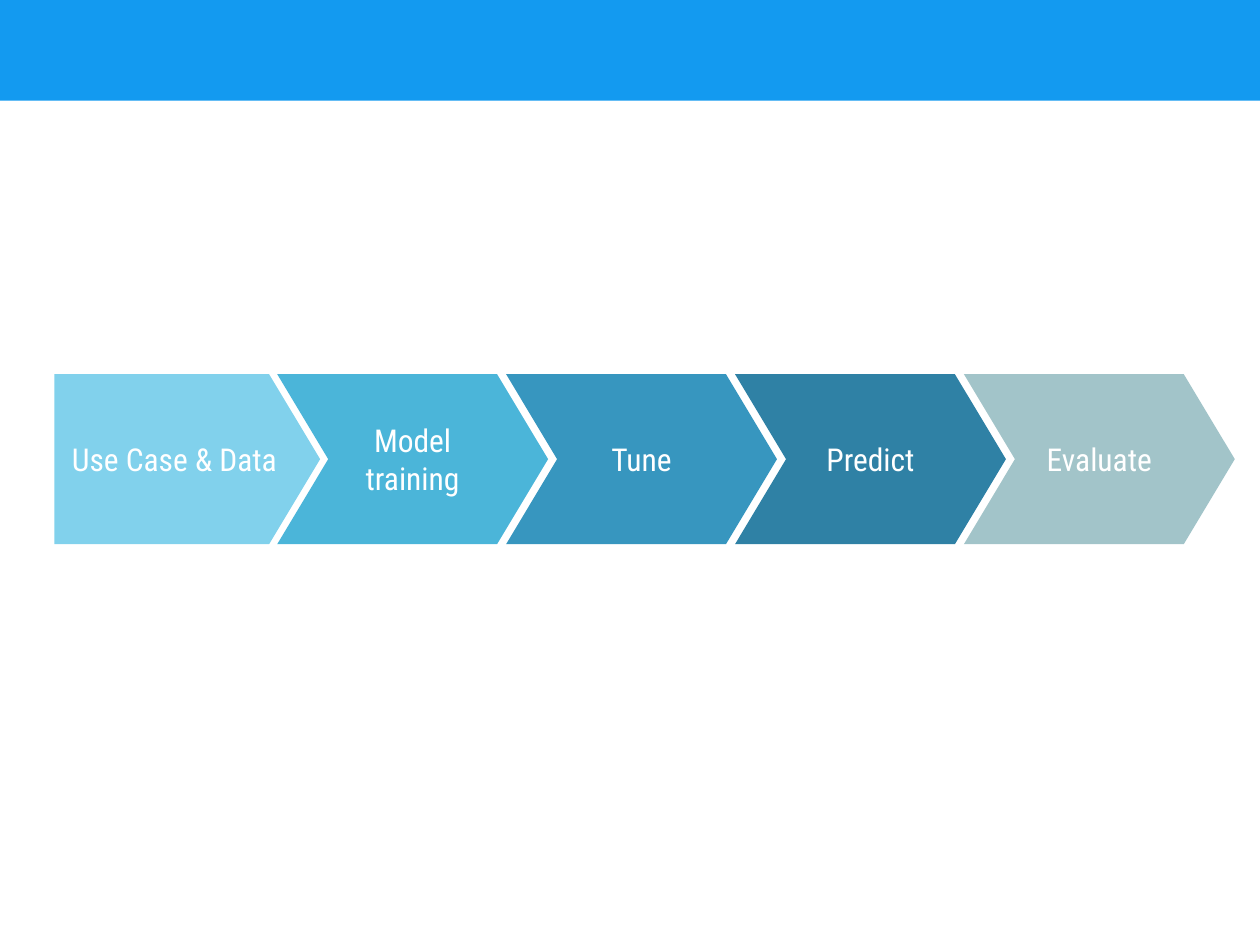
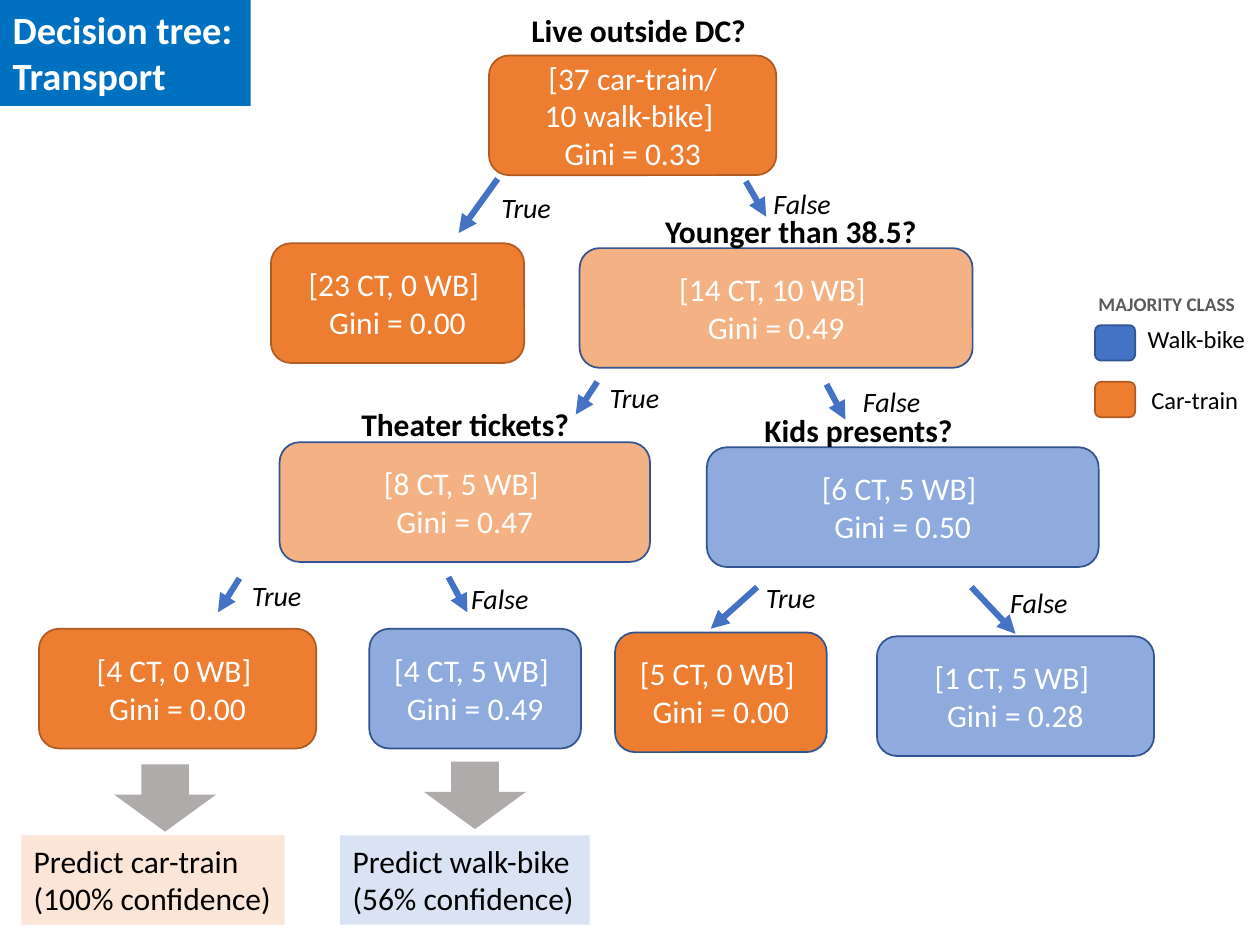
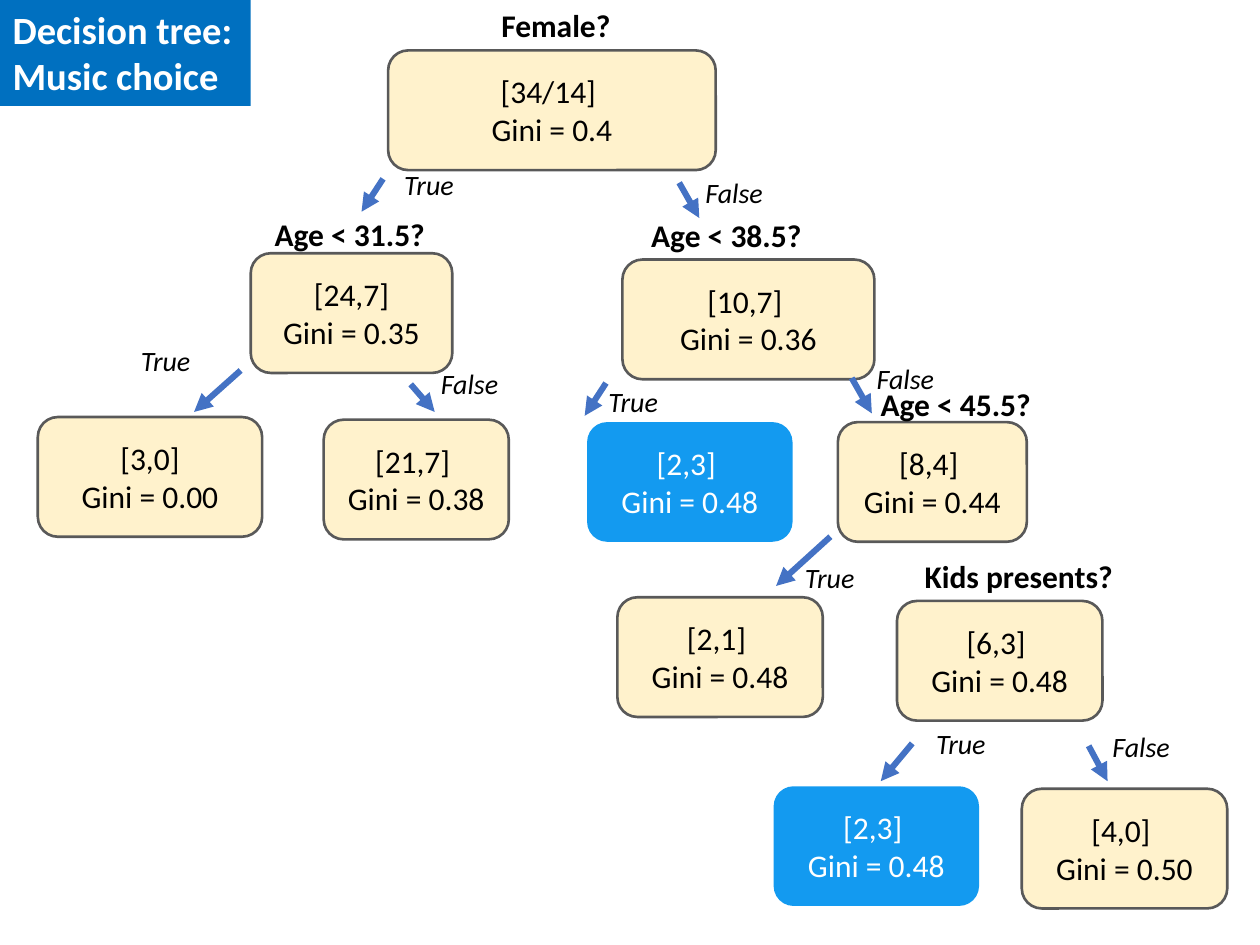
import pptx
import pptx.dml.color
import pptx.enum.shapes
import pptx.enum.text
import pptx.oxml.ns
import pptx.util
from lxml import etree

Pt = pptx.util.Pt
SHAPE = pptx.enum.shapes.MSO_SHAPE
ALIGN = pptx.enum.text.PP_ALIGN
ANCHOR = pptx.enum.text.MSO_ANCHOR

COLORS = {
    "band": "139AF0", "title": "0070C0", "white": "FFFFFF", "black": "000000",
    "gray": "595959", "block arrow": "AFABAB", "blue": "4472C4",
    "blue edge": "325491", "light blue": "8FAADC", "pale blue": "DAE3F3",
    "orange": "ED7D31", "orange edge": "AF5C24", "light orange": "F4B183",
    "pale orange": "FBE5D6", "cream": "FFF2CC",
    "step 1": "81D1EC", "step 2": "4BB5D9", "step 3": "3796BF",
    "step 4": "2F81A5", "step 5": "A2C4C9",
}
FONT = "Calibri"
STEP_FONT = "Roboto Condensed"

# Process steps
STEPS = ["Use Case & Data", "Model training", "Tune", "Predict", "Evaluate"]

# Node styles: fill, edge, edge width, text
NODE_STYLES = {
    "car": ("orange", "orange edge", 1, "white"),
    "car blue edge": ("orange", "blue edge", 1, "white"),
    "mostly car": ("light orange", "blue edge", 1, "white"),
    "mostly walk": ("light blue", "blue edge", 1, "white"),
    "cream": ("cream", "gray", 1.5, "black"),
    "bright": ("band", None, 0, "white"),
}
NODE_HEIGHT = 68.4
QUESTION_WIDTH = 177
ANSWER_WIDTH = 56

# nodes: style, left, top, width, counts, Gini
# questions: text, left, top
# branches: answer, its left and top, arrow start, arrow end
TRANSPORT = {
    "title": "Decision tree:\nTransport",
    "nodes": [
        ("car", 279.4, 31.7, 164.2, "[37 car-train/\n10 walk-bike] ", "0.33"),
        ("car", 154.8, 139, 144.7, "[23 CT, 0 WB] ", "0.00"),
        ("mostly car", 331.2, 141.8, 224.6, "[14 CT, 10 WB] ", "0.49"),
        ("mostly car", 159.8, 252.7, 211.7, "[8 CT, 5 WB] ", "0.47"),
        ("mostly walk", 403.9, 255.6, 223.9, "[6 CT, 5 WB] ", "0.50"),
        ("car", 22.3, 359.3, 158.4, "[4 CT, 0 WB] ", "0.00"),
        ("mostly walk", 211, 359.3, 121, "[4 CT, 5 WB] ", "0.49"),
        ("car blue edge", 351.4, 361.4, 121, "[5 CT, 0 WB] ", "0.00"),
        ("mostly walk", 501.1, 363.6, 158.4, "[1 CT, 5 WB] ", "0.28"),
    ],
    "questions": [
        ("Live outside DC?", 296.6, 2.9),
        ("Younger than 38.5?", 373, 117.4),
        ("Theater tickets?", 199.4, 228.2),
        ("Kids presents?", 429.8, 231.1),
    ],
    "branches": [
        ("True", 279.4, 105.1, (284.4, 102.2), (262.1, 133.2)),
        ("False", 434.9, 103, (426.2, 103.7), (437.8, 123.8)),
        ("True", 341.3, 213.8, (341.3, 218.2), (329, 236.9)),
        ("False", 486, 216, (472.3, 219.6), (483.1, 239.8)),
        ("True", 136.8, 326.9, (136.8, 330.5), (124.6, 349.9)),
        ("False", 262.1, 329, (256.3, 329.8), (267.1, 349.9)),
        ("True", 430.6, 328.3, (432.7, 335.5), (406.1, 359.3)),
        ("False", 570.2, 331.2, (555.1, 335.5), (580.3, 362.2)),
    ],
}
MUSIC = {
    "title": "Decision tree:\nMusic choice",
    "nodes": [
        ("cream", 221.8, 28.8, 187.2, "[34/14] ", "0.4"),
        ("cream", 143.3, 144.7, 115.2, "[24,7]", "0.35"),
        ("cream", 355.7, 148.3, 144, "[10,7] ", "0.36"),
        ("cream", 21.6, 238.3, 128.2, "[3,0]", "0.00"),
        ("cream", 185, 239.8, 105.8, "[21,7] ", "0.38"),
        ("bright", 335.5, 241.2, 117.4, "[2,3] ", "0.48"),
        ("cream", 478.8, 241.2, 108, "[8,4] ", "0.44"),
        ("cream", 352.8, 341.3, 117.4, "[2,1] ", "0.48"),
        ("cream", 512.6, 343.4, 117.4, "[6,3] ", "0.48"),
        ("bright", 442.1, 449.3, 117.4, "[2,3] ", "0.48"),
        ("cream", 583.9, 450.7, 117.4, "[4,0] ", "0.50"),
    ],
    "questions": [
        ("Female?", 279.4, 0),
        ("Age < 31.5?", 149.8, 119.5),
        ("Age < 38.5?", 365, 120.2),
        ("Age < 45.5?", 496.1, 216.7),
        ("Kids presents?", 521.3, 314.6),
    ],
    "branches": [
        ("True", 223.9, 92.2, (218.9, 102.2), (206.6, 121)),
        ("False", 396, 96.5, (388.1, 104.4), (399.6, 124.6)),
        ("True", 73.4, 193, (137.5, 211.7), (110.9, 235.4)),
        ("False", 244.8, 205.9, (234.7, 219.6), (248.4, 235.4)),
        ("True", 340.6, 216, (346.3, 218.9), (334.1, 237.6)),
        ("False", 493.9, 203, (486.7, 216), (498.2, 236.2)),
        ("True", 452.9, 316.8, (474.5, 306.7), (443.5, 334.8)),
        ("True", 527.8, 411.8, (521.3, 424.8), (503.3, 446.4)),
        ("False", 628.6, 413.3, (622.1, 426.2), (632.9, 446.4)),
    ],
}

# Legend of the transport tree: text, left, top, width, swatch top, fill, edge
LEGEND_TITLE = ("MAJORITY CLASS", 620.6, 163.4, 96)
LEGEND = [
    ("Walk-bike", 648.7, 181.4, 71, 185.8, "blue", "blue edge"),
    ("Car-train", 650.9, 216.7, 69, 218.2, "orange", "orange edge"),
]
# Predictions: text, left, width, fill, arrow left, arrow top
PREDICTIONS = [
    ("Predict car-train (100% confidence)", 12.2, 150.5, "pale orange", 70.6, 438.5),
    ("Predict walk-bike (56% confidence)", 194.4, 142.6, "pale blue", 247.7, 437),
]


def color(name):
    return pptx.dml.color.RGBColor.from_string(COLORS[name])


def write(box, text, size, ink, font=FONT, align=ALIGN.LEFT, anchor=ANCHOR.TOP,
          bold=False, italic=False):
    frame = box.text_frame
    frame.text = text
    frame.word_wrap = True
    frame.vertical_anchor = anchor
    for para in frame.paragraphs:
        para.alignment = align
        para.font.name = font
        para.font.size = Pt(size)
        para.font.bold = bold
        para.font.italic = italic
        para.font.color.rgb = color(ink)


def stroke(line, name, width):
    line.color.rgb = color(name)
    line.width = Pt(width)


def add_to_line(shape, tag, **attributes):
    """Append a join or arrowhead element to the outline."""
    outline = shape.line._get_or_add_ln()
    etree.SubElement(outline, pptx.oxml.ns.qn(tag), **attributes)


def add_box(page, kind, left, top, width, height, fill, edge=None, edge_width=1):
    box = page.shapes.add_shape(kind, Pt(left), Pt(top), Pt(width), Pt(height))
    box.shadow.inherit = False
    box.fill.solid()
    box.fill.fore_color.rgb = color(fill)
    if edge:
        stroke(box.line, edge, edge_width)
    else:
        box.line.fill.background()
    return box


def add_label(page, text, left, top, width, size, ink="black", **style):
    height = size * 1.2 + 7.2
    box = page.shapes.add_textbox(Pt(left), Pt(top), Pt(width), Pt(height))
    write(box, text, size, ink, **style)


def add_arrow(page, start, end):
    arrow = page.shapes.add_connector(
        pptx.enum.shapes.MSO_CONNECTOR.STRAIGHT, *map(Pt, start + end))
    stroke(arrow.line, "blue", 3.5)
    add_to_line(arrow, "a:miter", lim="800000")
    add_to_line(arrow, "a:tailEnd", type="triangle")
    etree.SubElement(arrow._element.spPr, pptx.oxml.ns.qn("a:effectLst"))


def add_title(page, text):
    title = page.shapes.title
    title.left, title.top, title.width, title.height = map(Pt, (0, 0, 143.3, 60.5))
    title.fill.solid()
    title.fill.fore_color.rgb = color("title")
    write(title, text, 22, "white", bold=True)
    title.text_frame.auto_size = pptx.enum.text.MSO_AUTO_SIZE.NONE


def add_process(deck):
    page = deck.slides.add_slide(deck.slide_layouts[6])
    add_box(page, SHAPE.RECTANGLE, 0, 0, 720, 57.6, "band")
    first_chevron, pitch = 158.4, 130.8
    for index, text in enumerate(STEPS):
        if index == 0:
            kind, left, width = SHAPE.PENTAGON, 31, 151.9
        else:
            kind, left, width = SHAPE.CHEVRON, first_chevron + (index - 1) * pitch, 154.8
        step = add_box(page, kind, left, 213.8, width, 97.2, f"step {index + 1}")
        step.adjustments[0] = 0.3
        write(step, text, 18, "white", STEP_FONT, ALIGN.CENTER, ANCHOR.MIDDLE)
        frame = step.text_frame
        frame.margin_left = frame.margin_right = Pt(7.2)
        frame.margin_top = frame.margin_bottom = Pt(7.2)


def add_tree(deck, tree):
    page = deck.slides.add_slide(deck.slide_layouts[5])
    add_title(page, tree["title"])
    for style, left, top, width, counts, gini in tree["nodes"]:
        fill, edge, edge_width, ink = NODE_STYLES[style]
        node = add_box(page, SHAPE.ROUNDED_RECTANGLE, left, top, width, NODE_HEIGHT,
                       fill, edge, edge_width)
        write(node, f"{counts}\nGini = {gini}", 18, ink,
              align=ALIGN.CENTER, anchor=ANCHOR.MIDDLE)
    for text, left, top in tree["questions"]:
        add_label(page, text, left, top, QUESTION_WIDTH, 18, bold=True)
    for answer, left, top, start, end in tree["branches"]:
        add_arrow(page, start, end)
        add_label(page, answer, left, top, ANSWER_WIDTH, 16, italic=True)
    return page


def add_legend(page):
    add_label(page, *LEGEND_TITLE, 11, "gray", bold=True)
    for text, left, top, width, swatch_top, fill, edge in LEGEND:
        add_box(page, SHAPE.ROUNDED_RECTANGLE, 625.7, swatch_top, 23, 20.2, fill, edge)
        add_label(page, text, left, top, width, 14)


def add_predictions(page):
    for text, left, width, fill, arrow_left, arrow_top in PREDICTIONS:
        arrow = add_box(page, SHAPE.DOWN_ARROW, arrow_left, arrow_top, 47.5, 34.6,
                        "block arrow", "block arrow", 3.5)
        add_to_line(arrow, "a:miter", lim="800000")
        box = add_box(page, SHAPE.RECTANGLE, left, 477.4, width, 51, fill)
        write(box, text, 18, "black")


def main():
    deck = pptx.Presentation()
    deck.slide_width, deck.slide_height = Pt(720), Pt(540)
    add_process(deck)
    transport = add_tree(deck, TRANSPORT)
    add_legend(transport)
    add_predictions(transport)
    add_tree(deck, MUSIC)
    deck.save("out.pptx")


if __name__ == "__main__":
    main()
